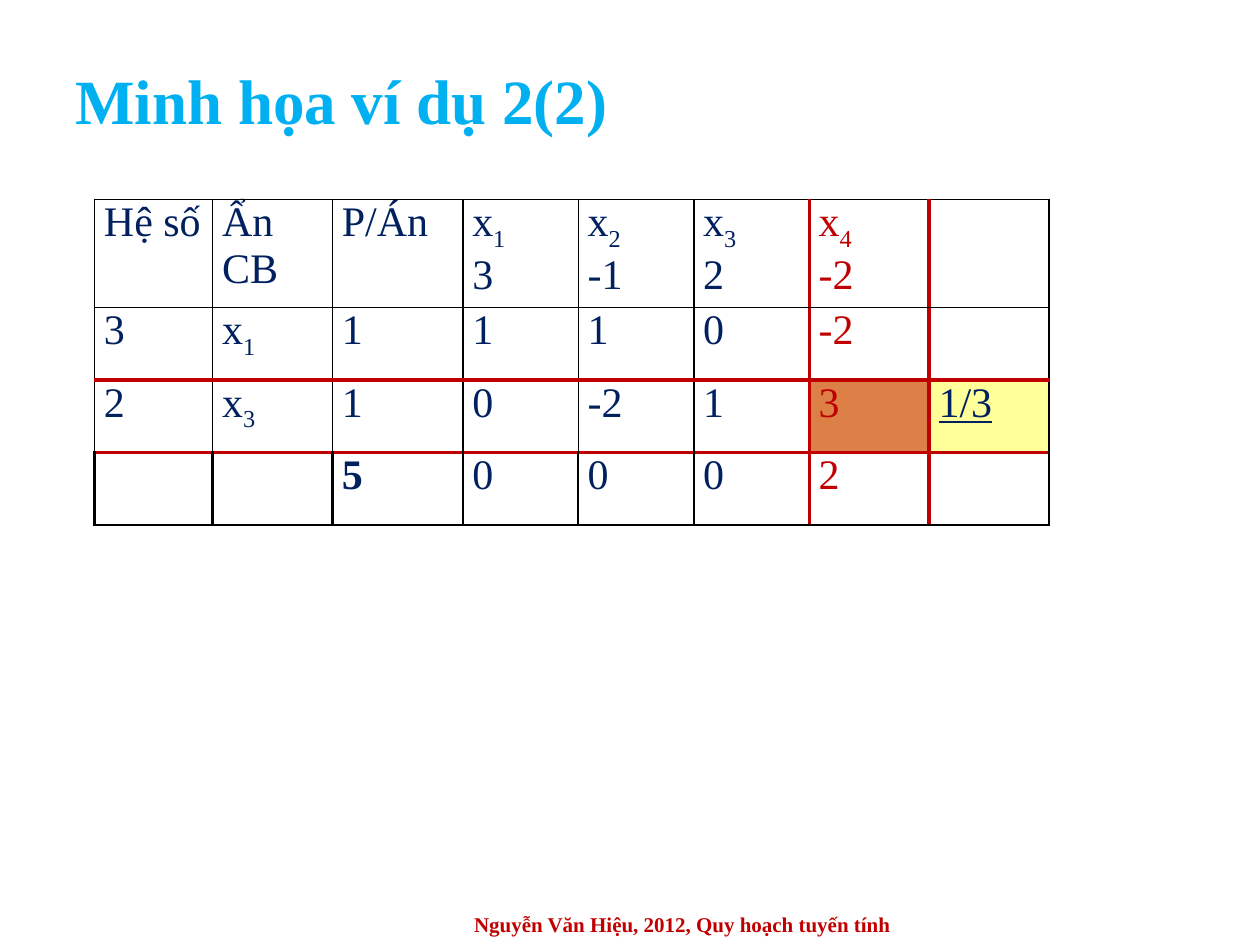
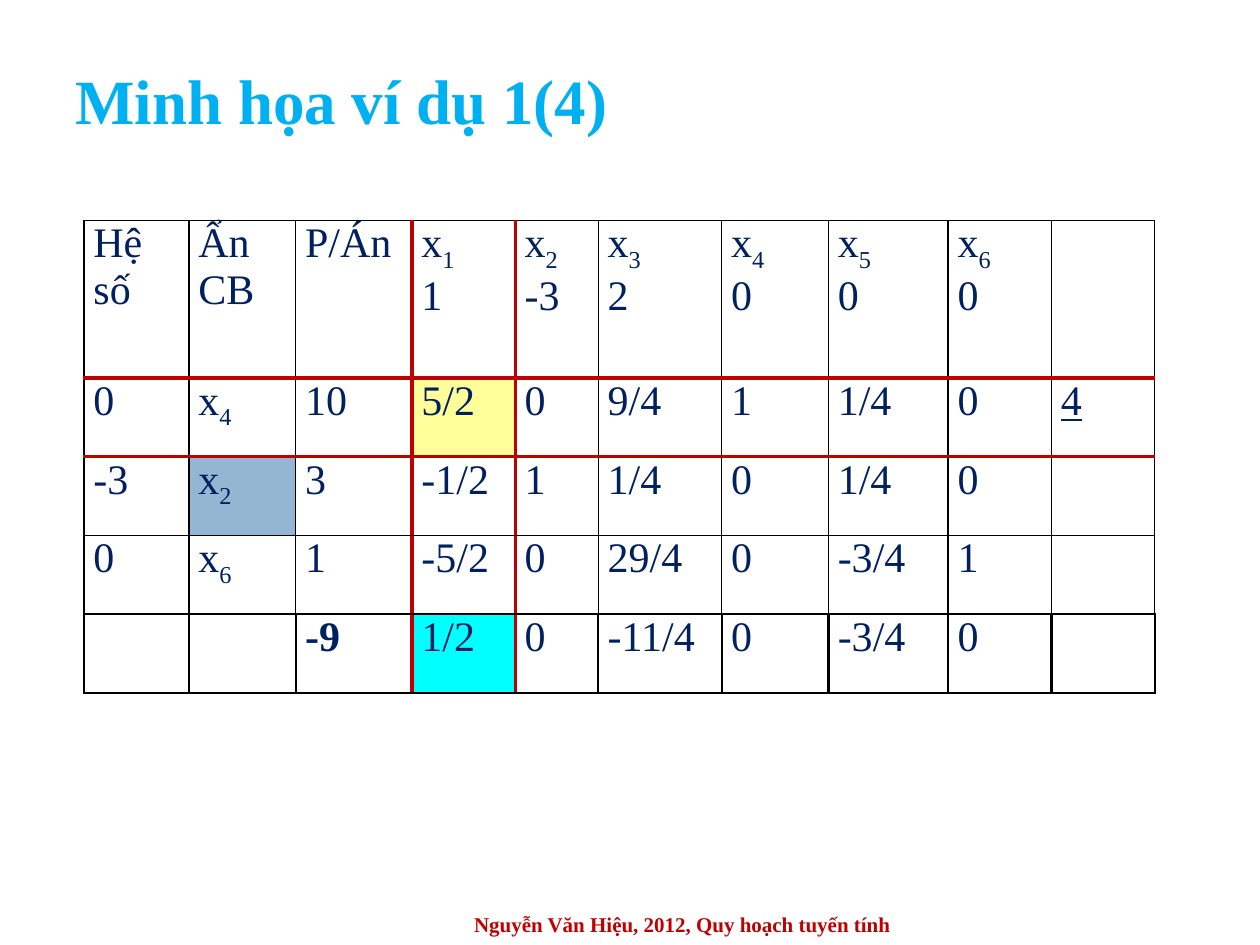
from lxml import etree
from pptx import Presentation
from pptx.dml.color import RGBColor
from pptx.enum.text import MSO_ANCHOR, PP_ALIGN
from pptx.oxml.ns import qn
from pptx.util import Pt

MIDDLE = MSO_ANCHOR.MIDDLE
LEFT, CENTER, JUSTIFY = PP_ALIGN.LEFT, PP_ALIGN.CENTER, PP_ALIGN.JUSTIFY

# Shared style
FONT = "Times New Roman"
SKY, NAVY, RED, BLACK = "00B0F0", "002060", "C00000", "000000"
ORANGE, YELLOW, BLUE, CYAN = "DD8047", "FFFF99", "94B6D2", "00FFFF"
FOOTER = "Nguyễn Văn Hiệu, 2012, Quy hoạch tuyến tính"
PLAN_COLUMN = 2
THIN, MEDIUM, THICK = 1, 1.5, 2.25

# Simplex tables: "_" starts a subscript, a line break a new paragraph
EXAMPLE_2 = [
    ["Hệ số", "Ẩn CB", "P/Án", "x_1\n3", "x_2\n-1", "x_3\n2", "x_4\n-2", ""],
    ["3", "x_1", "1", "1", "1", "0", "-2", ""],
    ["2", "x_3", "1", "0", "-2", "1", "3", "1/3"],
    ["", "", "5", "0", "0", "0", "2", ""],
]
EXAMPLE_1 = [
    ["Hệ số", "Ẩn CB", "P/Án", "x_1\n1", "x_2\n-3", "x_3\n2", "x_4\n0",
     "x_5\n0", "x_6\n0", ""],
    ["0", "x_4", "10", "5/2", "0", "9/4", "1", "1/4", "0", "4"],
    ["-3", "x_2", "3", "-1/2", "1", "1/4", "0", "1/4", "0", ""],
    ["0", "x_6", "1", "-5/2", "0", "29/4", "0", "-3/4", "1", ""],
    ["", "", "-9", "1/2", "0", "-11/4", "0", "-3/4", "0", ""],
]


def color(hex_string):
    return RGBColor.from_string(hex_string)


def add_run(paragraph, text, size, hex_color, bold=False, underline=False):
    run = paragraph.add_run()
    run.text = text
    font = run.font
    font.name, font.size = FONT, Pt(size)
    font.bold, font.underline = bold, underline
    font.color.rgb = color(hex_color)
    return run


def add_label(slide, text, left, top, width, height, size, hex_color, alignment):
    """A one-line bold text box, centred vertically."""
    box = slide.shapes.add_textbox(Pt(left), Pt(top), Pt(width), Pt(height))
    frame = box.text_frame
    frame.word_wrap = True
    frame.vertical_anchor = MIDDLE
    paragraph = frame.paragraphs[0]
    paragraph.alignment = alignment
    add_run(paragraph, text, size, hex_color, bold=True)


def write_cell(cell, text, hex_color, bold, underline):
    cell.margin_left = cell.margin_right = Pt(5.4)
    cell.margin_top = cell.margin_bottom = 0
    if not text:
        return
    frame = cell.text_frame
    for number, line in enumerate(text.split("\n")):
        paragraph = frame.add_paragraph() if number else frame.paragraphs[0]
        paragraph.alignment = JUSTIFY
        base, _, subscript = line.partition("_")
        add_run(paragraph, base, 24, hex_color, bold, underline)
        if subscript:
            run = add_run(paragraph, subscript, 24, hex_color, bold, underline)
            run.font._element.set("baseline", "-25000")


def set_borders(cell, borders):
    """Borders are (colour, width) pairs: left, right, top, bottom."""
    properties = cell._tc.get_or_add_tcPr()
    for position, (side, (hex_color, width)) in enumerate(zip("LRTB", borders)):
        line = etree.Element(qn("a:ln" + side), w=str(int(Pt(width))))
        fill = etree.SubElement(line, qn("a:solidFill"))
        etree.SubElement(fill, qn("a:srgbClr"), val=hex_color)
        properties.insert(position, line)


def add_simplex_table(slide, rows, left, top, widths, heights, pivot, fills,
                      red_column=None):
    """A bordered table whose pivot row and column are ruled in red."""
    shape = slide.shapes.add_table(len(rows), len(widths), Pt(left), Pt(top),
                                   Pt(sum(widths)), Pt(sum(heights)))
    table = shape.table
    table.first_row = table.horz_banding = False
    for column, width in zip(table.columns, widths):
        column.width = Pt(width)
    for row, height in zip(table.rows, heights):
        row.height = Pt(height)

    last_row, last_column = len(rows) - 1, len(widths) - 1
    pivot_row, pivot_column = pivot

    def border(edge, pivot_index, is_objective):
        if edge in (pivot_index, pivot_index + 1):
            return RED, THICK
        return BLACK, MEDIUM if is_objective else THIN

    for r, row in enumerate(rows):
        for c, text in enumerate(row):
            cell = table.cell(r, c)
            write_cell(cell, text, RED if c == red_column else NAVY,
                       bold=(r, c) == (last_row, PLAN_COLUMN),
                       underline=c == last_column)
            if (r, c) in fills:
                cell.fill.solid()
                cell.fill.fore_color.rgb = color(fills[r, c])
            else:
                cell.fill.background()
            vertical = [border(edge, pivot_column, r == last_row)
                        for edge in (c, c + 1)]
            horizontal = [border(edge, pivot_row, edge >= last_row)
                          for edge in (r, r + 1)]
            set_borders(cell, vertical + horizontal)


def add_example_slide(presentation, title):
    slide = presentation.slides.add_slide(presentation.slide_layouts[6])
    add_label(slide, title, 36, 30, 648, 54, 36, SKY, LEFT)
    add_label(slide, FOOTER, 210, 516, 360, 24, 12, RED, CENTER)
    return slide


def main():
    presentation = Presentation()
    presentation.slide_width, presentation.slide_height = Pt(720), Pt(540)

    # Example 2
    slide = add_example_slide(presentation, "Minh họa ví dụ 2(2)")
    add_simplex_table(
        slide, EXAMPLE_2, 54, 114,
        widths=[67.5, 68.5, 74.5, 66, 66, 66, 68.5, 68.5],
        heights=[59] + [41.5] * 3, pivot=(2, 6),
        fills={(2, 6): ORANGE, (2, 7): YELLOW, (3, 7): "FFFFFF"}, red_column=6)

    # Example 1
    slide = add_example_slide(presentation, "Minh họa ví dụ 1(4)")
    add_simplex_table(
        slide, EXAMPLE_1, 48, 126,
        widths=[60, 61, 66.5, 59, 47.5, 70.5, 61, 68.5, 59, 59],
        heights=[90] + [45] * 4, pivot=(1, 3),
        fills={(1, 3): YELLOW, (2, 1): BLUE, (4, 3): CYAN})

    presentation.save("out.pptx")


if __name__ == "__main__":
    main()
